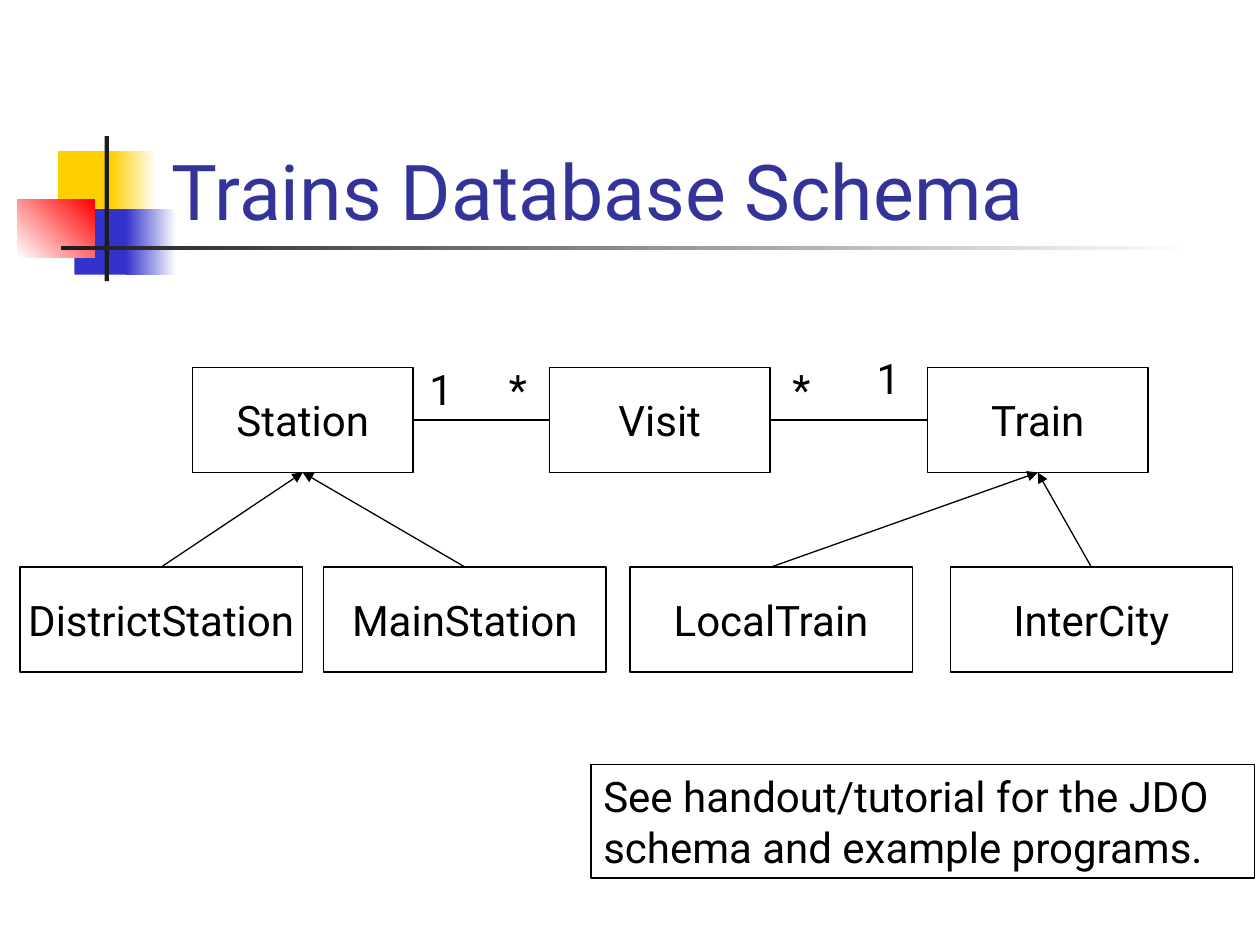
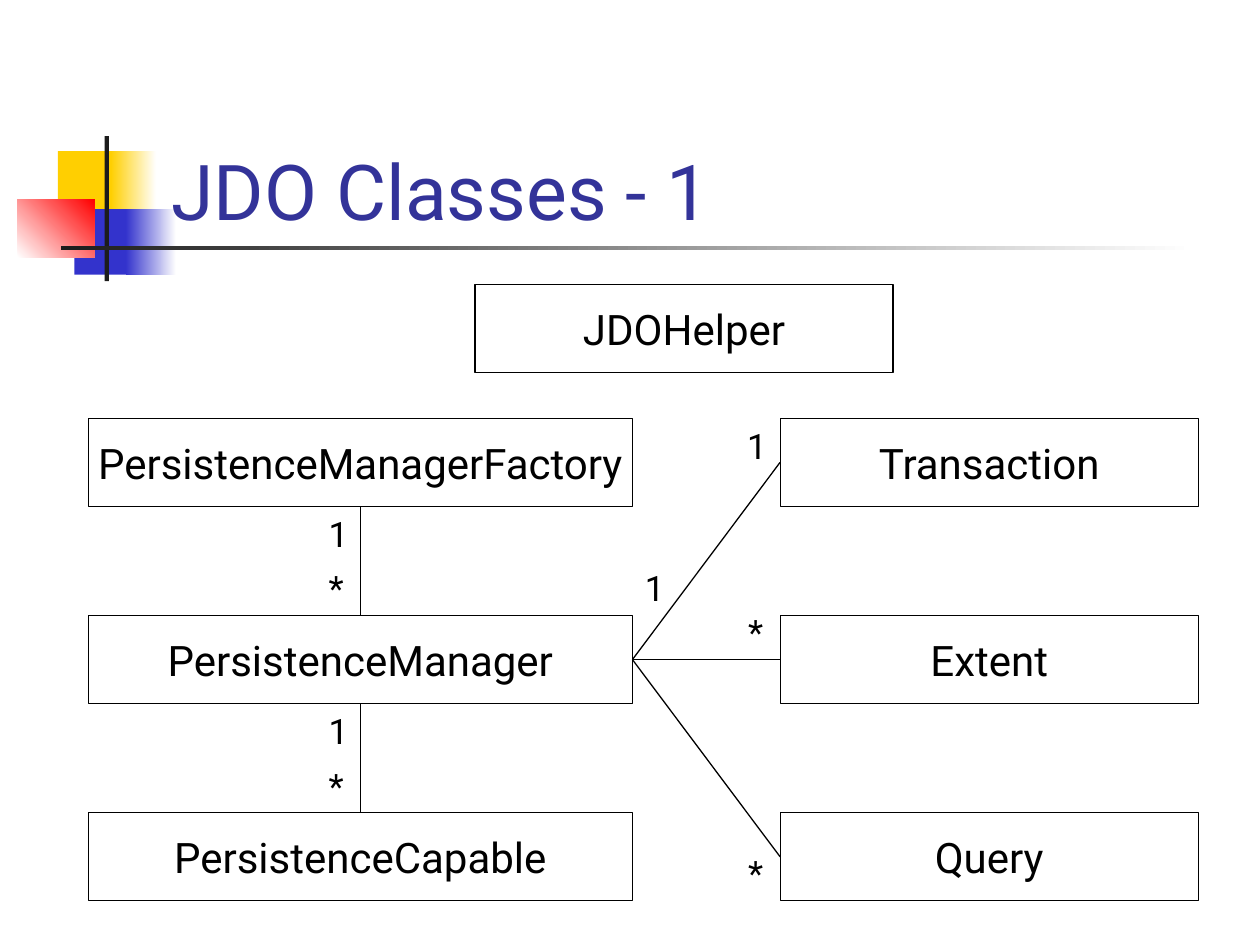
import pptx
import pptx.dml.color
import pptx.enum.shapes
import pptx.enum.text
import pptx.oxml.ns
import pptx.oxml.xmlchemy
import pptx.util
from lxml import etree

Pt = pptx.util.Pt
RGBColor = pptx.dml.color.RGBColor
ANCHOR = pptx.enum.text.MSO_ANCHOR
ALIGN = pptx.enum.text.PP_ALIGN
RECTANGLE = pptx.enum.shapes.MSO_SHAPE.RECTANGLE
STRAIGHT = pptx.enum.shapes.MSO_CONNECTOR.STRAIGHT
qn = pptx.oxml.ns.qn

# Colours
BLACK = RGBColor(0x00, 0x00, 0x00)
WHITE = RGBColor(0xFF, 0xFF, 0xFF)
YELLOW = RGBColor(0xFF, 0xCF, 0x01)
BLUE = RGBColor(0x33, 0x33, 0xCC)
RED = RGBColor(0xFF, 0x00, 0x00)
CHARCOAL = RGBColor(0x1C, 0x1C, 0x1C)
TITLE_BLUE = RGBColor(0x33, 0x33, 0x99)

# Formats
TITLE_FONT = {"name": "Roboto", "size": Pt(44)}
CLASS_FONT = {"name": "Roboto", "size": Pt(24)}
SMALL_FONT = {"name": "Roboto", "size": Pt(20)}
TITLE_FRAME = {"vertical_anchor": ANCHOR.BOTTOM, "word_wrap": True,
               "auto_size": pptx.enum.text.MSO_AUTO_SIZE.NONE}
CLASS_FRAME = {"vertical_anchor": ANCHOR.MIDDLE, "word_wrap": False}
NOTE_FRAME = {"vertical_anchor": ANCHOR.TOP, "word_wrap": False}

# Connection sites of a rectangle
TOP, LEFT, BOTTOM, RIGHT = range(4)

# Left, top, width and height of each region
EMBLEM_BOX = (10, 77.8, 672.6, 82.8)
TITLE_BOX = (90.7, 48.2, 613.4, 90)
SCHEMA_BOX = (11.5, 210, 692.8, 174)
NOTE_BOX = (337.7, 437, 379.4, 64.8)
CLASSES_BOX = (50.4, 162.7, 634.4, 352)


def set_values(target, values):
    for key, value in values.items():
        setattr(target, key, value)


def write(shape, lines, frame_format, font_format, color, align):
    frame = shape.text_frame
    set_values(frame, frame_format)
    frame.text = "\n".join(lines)
    for paragraph in frame.paragraphs:
        paragraph.alignment = align
        set_values(paragraph.font, font_format)
        paragraph.font.color.rgb = color


def add_outlined_box(slide, box, lines, frame_format, align):
    outlined = slide.shapes.add_shape(RECTANGLE, *map(Pt, box))
    outlined.shadow.inherit = False
    outlined.fill.background()
    outlined.line.color.rgb = BLACK
    outlined.line.width = Pt(0.75)
    write(outlined, lines, frame_format, CLASS_FONT, BLACK, align)
    return outlined


def add_class(slide, box, name):
    return add_outlined_box(slide, box, [name], CLASS_FRAME, ALIGN.CENTER)


def add_multiplicity(slide, box, text, font_format):
    label = slide.shapes.add_textbox(*map(Pt, box))
    write(label, [text], NOTE_FRAME, font_format, BLACK, ALIGN.LEFT)


def link(slide, start, start_site, end, end_site, arrow=False):
    connector = slide.shapes.add_connector(STRAIGHT, 0, 0, 0, 0)
    connector.begin_connect(start, start_site)
    connector.end_connect(end, end_site)
    connector.line.color.rgb = BLACK
    connector.line.width = Pt(0.75)
    properties = connector.element.spPr
    if arrow:
        etree.SubElement(properties.find(qn("a:ln")), qn("a:tailEnd"), type="triangle")
    etree.SubElement(properties, qn("a:effectLst"))


# Coloured squares and rules beside the title
def draw_emblem(slide, box):
    left, top, width, height = box
    parts = [
        # x, y, width, height, start colour, end colour, angle
        (23.1, 8.6, 34.6, 37.4, YELLOW, None, 0),
        (53.4, 8.6, 25.9, 37.4, YELLOW, WHITE, 0),
        (32.5, 41.7, 33.1, 37.4, BLUE, None, 0),
        (62, 41.7, 28.8, 37.4, BLUE, WHITE, 0),
        (0, 36, 43.9, 33.1, WHITE, RED, 45),
        (49.8, 0, 2.4, height, CHARCOAL, None, 0),
        (24.6, 62.6, width - 24.6, 2.4, CHARCOAL, WHITE, 0),
    ]
    for x, y, part_width, part_height, start, end, angle in parts:
        part = slide.shapes.add_shape(
            RECTANGLE, Pt(left + x), Pt(top + y), Pt(part_width), Pt(part_height))
        part.shadow.inherit = False
        part.line.fill.background()
        if end is None:
            part.fill.solid()
            part.fill.fore_color.rgb = start
        else:
            part.fill.gradient()
            part.fill.gradient_angle = angle
            for stop, color in zip(part.fill.gradient_stops, (start, end)):
                stop.color.rgb = color


def place_title(slide, box, text):
    title = slide.shapes.title
    set_values(title, dict(zip(("left", "top", "width", "height"), map(Pt, box))))
    write(title, [text], TITLE_FRAME, TITLE_FONT, TITLE_BLUE, ALIGN.LEFT)
    # The title lies in front of the emblem
    slide.shapes.element.append(title.element)


def add_titled_slide(deck, text):
    slide = deck.slides.add_slide(deck.slide_layouts[5])
    draw_emblem(slide, EMBLEM_BOX)
    place_title(slide, TITLE_BOX, text)
    return slide


def draw_schema(slide, box):
    left, top, _, height = box
    class_height = 60
    entities = {
        name: add_class(slide, (left + x, top, 126, class_height), name)
        for name, x in (("Station", 98.5), ("Visit", 302.5), ("Train", 518.5))
    }

    # Subclasses with inheritance arrows
    for name, x, parent in (("DistrictStation", 0, "Station"),
                            ("MainStation", 173.5, "Station"),
                            ("LocalTrain", 348.5, "Train"),
                            ("InterCity", 531.5, "Train")):
        subclass = add_class(
            slide, (left + x, top + height - class_height, 161.3, class_height), name)
        link(slide, subclass, TOP, entities[parent], BOTTOM, arrow=True)

    # Associations
    for start, end in (("Station", "Visit"), ("Visit", "Train")):
        link(slide, entities[start], RIGHT, entities[end], LEFT)
    for text, x, y in (("1", 226.8, -6), ("*", 272.2, -6),
                       ("*", 434.2, -6), ("1", 482.4, -12)):
        add_multiplicity(slide, (left + x, top + y, 27.7, 36), text, CLASS_FONT)


def draw_classes(slide, box):
    left, top, width, _ = box
    class_height, row_pitch, first_row = 50.4, 112.7, 76.3
    core_width, side_width = 311, 239

    def add_column(x, column_width, names):
        return [add_class(slide, (left + x, top + first_row + row * row_pitch,
                                  column_width, class_height), name)
                for row, name in enumerate(names)]

    add_class(slide, (left + 221, top, side_width, class_height), "JDOHelper")
    core = add_column(0, core_width, ("PersistenceManagerFactory",
                                      "PersistenceManager", "PersistenceCapable"))
    side = add_column(width - side_width, side_width, ("Transaction", "Extent", "Query"))

    # Associations
    for upper, lower in zip(core, core[1:]):
        link(slide, upper, BOTTOM, lower, TOP)
    for managed in side:
        link(slide, core[1], RIGHT, managed, LEFT)

    # Multiplicities
    below_first = first_row + class_height
    multiplicities = [("1", core_width, below_first + 31), ("1", 369.4, first_row),
                      ("*", 370, 182.9), ("*", 370, 320.4)]
    for row in range(2):
        y = below_first + row * row_pitch
        multiplicities += [("1", 130.3, y), ("*", 130.3, y + 31)]
    for text, x, y in multiplicities:
        add_multiplicity(slide, (left + x, top + y, 25.6, 31.7), text, SMALL_FONT)


def main():
    deck = pptx.Presentation()
    deck.slide_width, deck.slide_height = Pt(720), Pt(540)

    schema = add_titled_slide(deck, "Trains Database Schema")
    draw_schema(schema, SCHEMA_BOX)
    add_outlined_box(schema, NOTE_BOX,
                     ["See handout/tutorial for the JDO", "schema and example programs."],
                     NOTE_FRAME, ALIGN.LEFT)

    draw_classes(add_titled_slide(deck, "JDO Classes - 1"), CLASSES_BOX)
    deck.save("out.pptx")


if __name__ == "__main__":
    main()
